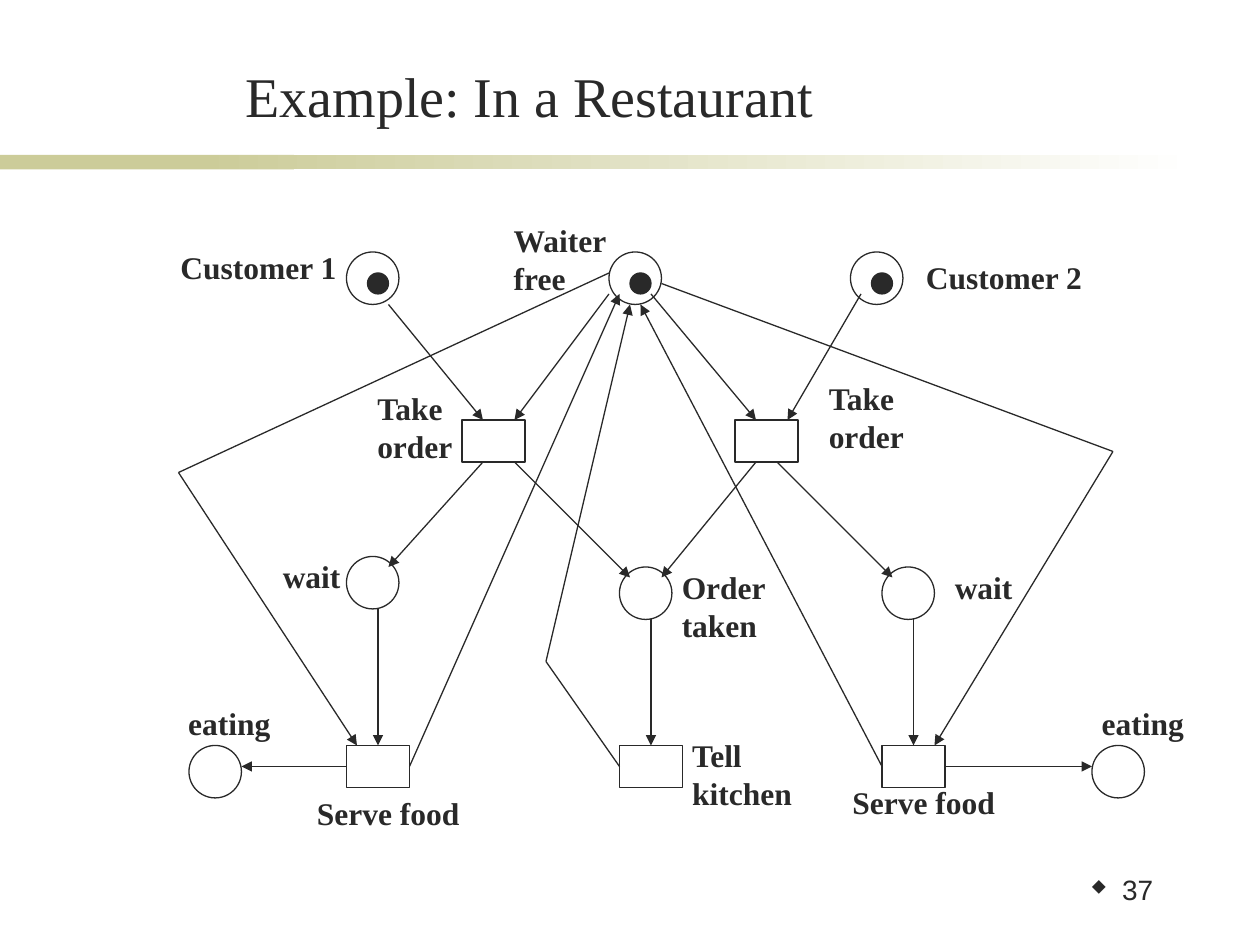
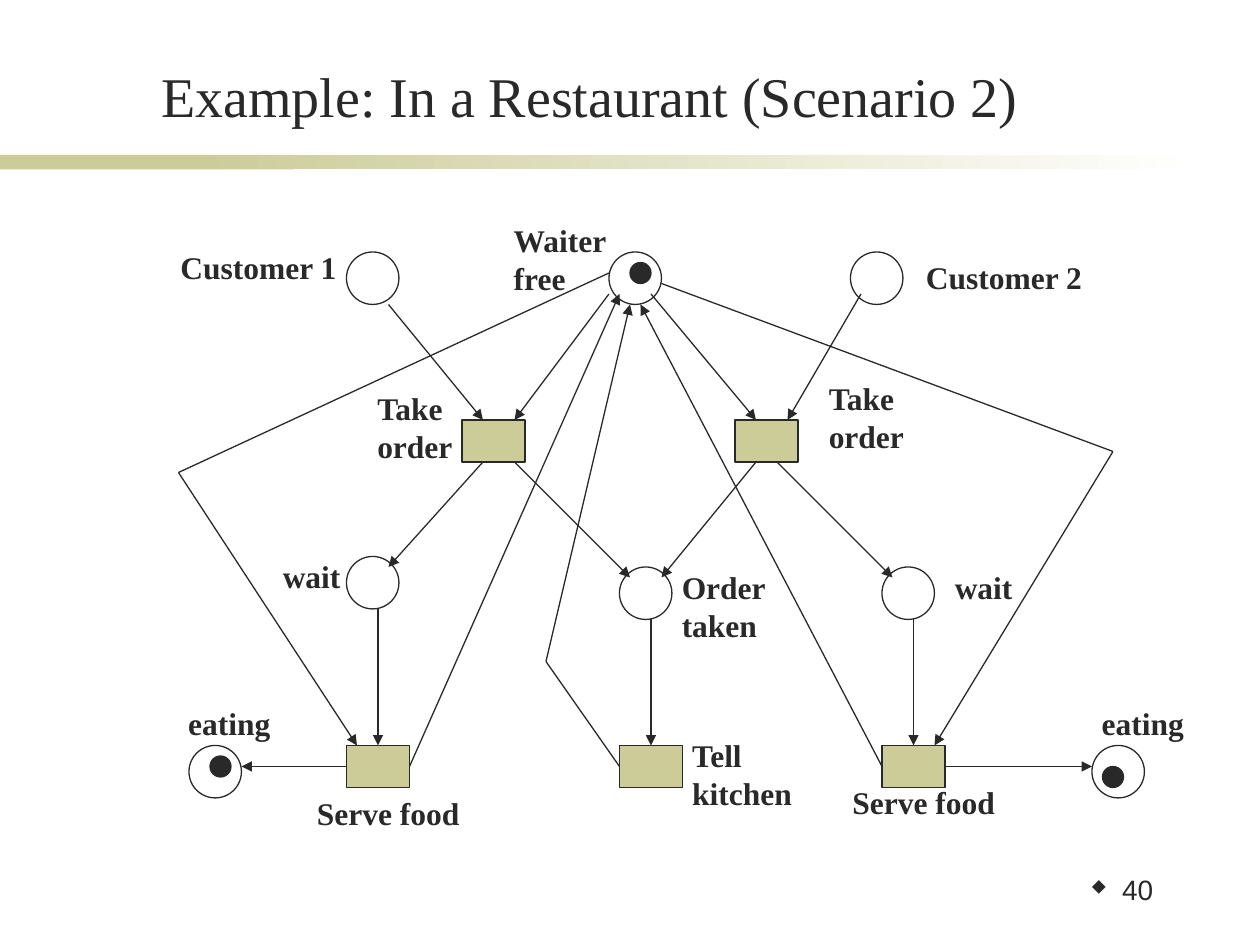
from dataclasses import dataclass
from itertools import pairwise

from lxml import etree
from pptx import Presentation
from pptx.dml.color import RGBColor
from pptx.enum.shapes import MSO_CONNECTOR, MSO_SHAPE
from pptx.enum.text import MSO_ANCHOR, MSO_AUTO_SIZE, PP_ALIGN
from pptx.oxml.ns import qn
from pptx.util import Emu, Pt

RECTANGLE, OVAL = MSO_SHAPE.RECTANGLE, MSO_SHAPE.OVAL
STRAIGHT = MSO_CONNECTOR.STRAIGHT
LEFT, CENTER, RIGHT = PP_ALIGN.LEFT, PP_ALIGN.CENTER, PP_ALIGN.RIGHT
TOP, BOTTOM = MSO_ANCHOR.TOP, MSO_ANCHOR.BOTTOM
FIT_SHAPE = MSO_AUTO_SIZE.SHAPE_TO_FIT_TEXT
EMU_PER_PX = 9525  # 96 px to the inch


@dataclass(frozen=True)
class Theme:
    ink: str = "292929"
    accent: str = "CCCC99"
    paper: str = "FFFFFF"
    serif: str = "Times New Roman"
    sans: str = "Arial"
    bullet_font: str = "Wingdings"
    diamond: str = "u"  # the symbol font draws this letter as a diamond
    title_size: float = 32
    label_size: float = 18
    number_size: float = 16
    label_spacing: float = 21.6
    line_width: float = 0.75


# The net: places and transitions by top left corner
PLACE_SIZE, TRANSITION_SIZE, TOKEN_SIZE = (40, 40), (48, 32), (16, 16)
PLACES = {
    "customer 1": (264, 192), "waiter free": (464, 192), "customer 2": (648, 192),
    "wait 1": (264, 424), "order taken": (472, 432), "wait 2": (672, 432),
    "eating 1": (144, 568), "eating 2": (832, 568),
}
TRANSITIONS = {
    "take order 1": (352, 320), "take order 2": (560, 320),
    "serve food 1": (264, 568), "tell kitchen": (472, 568), "serve food 2": (672, 568),
}

# Each arc runs through its points and ends in an arrowhead
ARCS = [
    # customers and waiter to the orders
    [(296, 232), (368, 320)],
    [(464, 224), (392, 320)],
    [(496, 224), (576, 320)],
    [(656, 224), (600, 320)],
    # orders to waiting customers and the order taken
    [(368, 352), (296, 432)],
    [(392, 352), (480, 440)],
    [(576, 352), (504, 440)],
    [(592, 352), (680, 440)],
    # down to kitchen and serving, then out to eating
    [(288, 464), (288, 568)],
    [(496, 472), (496, 568)],
    [(696, 472), (696, 568)],
    [(264, 584), (184, 584)],
    [(720, 584), (832, 584)],
    # back to the waiter
    [(312, 584), (472, 224)],
    [(472, 584), (416, 504), (480, 232)],
    [(672, 584), (488, 232)],
    # waiter round the outside to serving
    [(464, 208), (136, 360), (272, 568)],
    [(504, 216), (848, 344), (712, 568)],
]

# Label lines with left, top and width
LABELS = [
    (["Waiter", "free"], 382, 164, 91),
    (["Customer 1"], 128, 184, 138),
    (["Customer 2"], 696, 192, 138),
    (["Take", "order"], 278, 292, 77),
    (["Take", "order"], 622, 284, 77),
    (["Order", "taken"], 510, 428, 84),
    (["Tell", "kitchen"], 518, 556, 95),
    (["wait"], 206, 420, 63),
    (["wait"], 718, 428, 63),
    (["Serve food"], 232, 600, 128),
    (["Serve food"], 640, 592, 128),
    (["eating"], 134, 532, 82),
    (["eating"], 830, 532, 82),
]


def px(length):
    return Emu(length * EMU_PER_PX)


def color(code):
    return RGBColor.from_string(code)


class Deck:
    def __init__(self, theme):
        self.theme = theme
        self.presentation = Presentation()
        self.presentation.slide_width = px(960)
        self.presentation.slide_height = px(720)
        self.slide = None

    def start_slide(self, title, title_left, title_width, number):
        layout = self.presentation.slide_layouts[6]
        self.slide = self.presentation.slides.add_slide(layout)
        self.band()
        self.text([title], (title_left, 43, title_width, 60), self.theme.serif,
                  self.theme.title_size, align=CENTER, anchor=BOTTOM)
        self.page_number(number)

    def shape(self, kind, box, fill=None, outlined=True):
        shape = self.slide.shapes.add_shape(kind, *map(px, box))
        shape.shadow.inherit = False
        if fill:
            shape.fill.solid()
            shape.fill.fore_color.rgb = color(fill)
        else:
            shape.fill.background()
        if outlined:
            shape.line.color.rgb = color(self.theme.ink)
            shape.line.width = Pt(self.theme.line_width)
        else:
            shape.line.fill.background()
        return shape

    def band(self):
        self.shape(RECTANGLE, (0, 118, 224, 11), self.theme.accent, outlined=False)
        fade = self.shape(RECTANGLE, (152, 118, 760, 11), outlined=False)
        fade.fill.gradient()
        fade.fill.gradient_angle = 0
        for stop, code in zip(fade.fill.gradient_stops, (self.theme.accent, self.theme.paper)):
            stop.color.rgb = color(code)

    def text(self, lines, box, font_name, size, bold=False, align=LEFT,
             anchor=TOP, spacing=None, bullet=None, wrap=True):
        text_box = self.slide.shapes.add_textbox(*map(px, box))
        frame = text_box.text_frame
        frame.word_wrap = wrap
        frame.vertical_anchor = anchor
        if not wrap:
            frame.auto_size = FIT_SHAPE
        for index, line in enumerate(lines):
            paragraph = frame.add_paragraph() if index else frame.paragraphs[0]
            paragraph.text = line
            paragraph.alignment = align
            paragraph.line_spacing = spacing
            if bullet:
                self.bullet(paragraph, bullet)
            paragraph.font.name = font_name
            paragraph.font.size = Pt(size)
            paragraph.font.bold = bold
            paragraph.font.color.rgb = color(self.theme.ink)

    def bullet(self, paragraph, character):
        properties = paragraph._p.get_or_add_pPr()
        properties.set("marL", str(px(24)))
        properties.set("indent", str(px(-24)))
        bullet_color = etree.SubElement(properties, qn("a:buClr"))
        etree.SubElement(bullet_color, qn("a:srgbClr"), val=self.theme.ink)
        etree.SubElement(properties, qn("a:buSzPct"), val="60000")
        etree.SubElement(properties, qn("a:buFont"), typeface=self.theme.bullet_font,
                         pitchFamily="2", charset="2")
        etree.SubElement(properties, qn("a:buChar"), char=character)

    def page_number(self, number):
        self.text([str(number)], (790, 663, 98, 48), self.theme.sans, self.theme.number_size,
                  align=RIGHT, spacing=0.9, bullet=self.theme.diamond)

    def label(self, lines, left, top, width):
        height = 10 + 29 * len(lines)
        self.text(lines, (left, top, width, height), self.theme.serif, self.theme.label_size,
                  bold=True, spacing=Pt(self.theme.label_spacing), wrap=False)

    def arc(self, points):
        for start, end in pairwise(points):
            connector = self.slide.shapes.add_connector(STRAIGHT, *map(px, start + end))
            connector.line.color.rgb = color(self.theme.ink)
            connector.line.width = Pt(self.theme.line_width)
            properties = connector._element.spPr
            if end == points[-1]:
                etree.SubElement(properties.find(qn("a:ln")), qn("a:tailEnd"), type="triangle")
            etree.SubElement(properties, qn("a:effectLst"))

    def token(self, place, offset):
        left, top = PLACES[place]
        self.shape(OVAL, (left + offset[0], top + offset[1], *TOKEN_SIZE), self.theme.ink)

    def net(self, tokens, transition_fill=None):
        for corner in PLACES.values():
            self.shape(OVAL, corner + PLACE_SIZE)
        for points in ARCS:
            self.arc(points)
        for label in LABELS:
            self.label(*label)
        for corner in TRANSITIONS.values():
            self.shape(RECTANGLE, corner + TRANSITION_SIZE, transition_fill)
        for place, offset in tokens.items():
            self.token(place, offset)


def main():
    theme = Theme()
    deck = Deck(theme)

    # Start: both customers and the waiter are free
    deck.start_slide("Example: In a Restaurant", 109, 589, 37)
    deck.net(dict.fromkeys(["customer 1", "waiter free", "customer 2"], (16, 16)))

    # Scenario 2: both customers are eating
    deck.start_slide("Example: In a Restaurant (Scenario 2)", 48, 803, 40)
    deck.net({"eating 2": (8, 16), "eating 1": (16, 8), "waiter free": (16, 8)}, theme.accent)

    deck.presentation.save("out.pptx")


if __name__ == "__main__":
    main()
